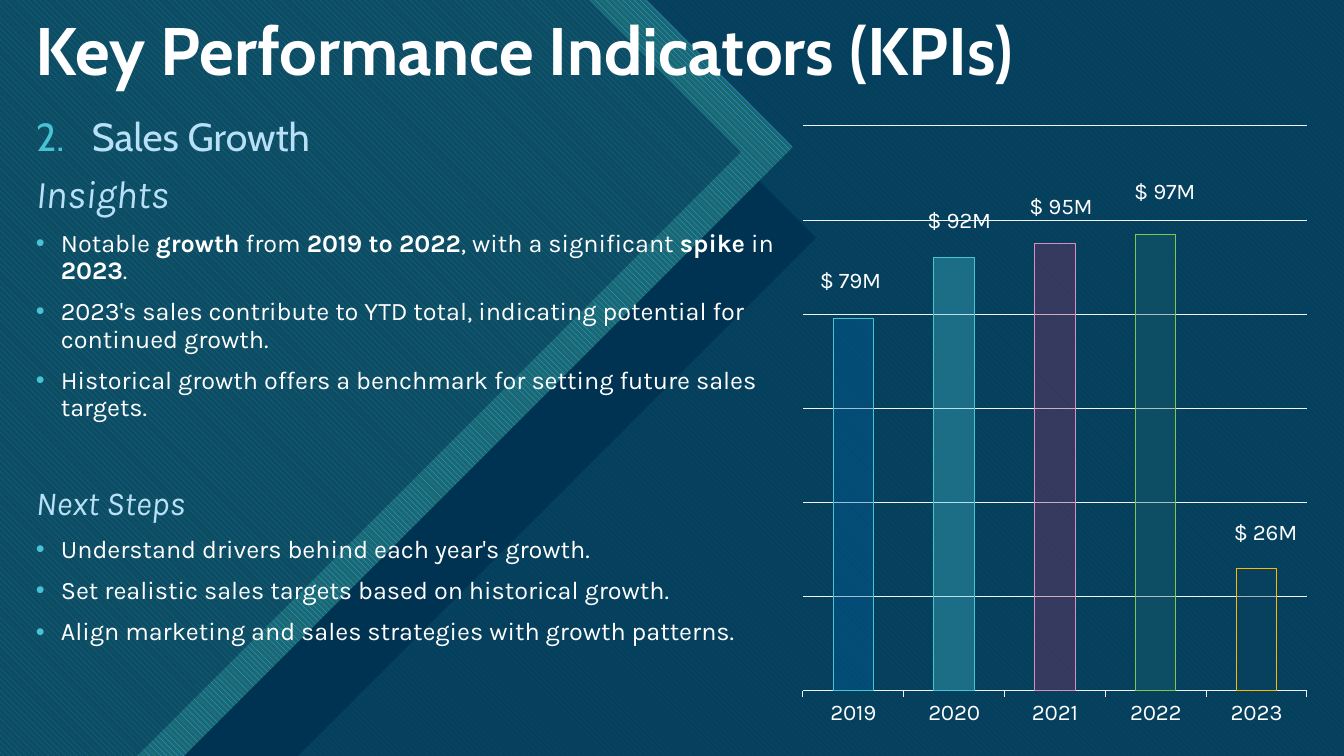
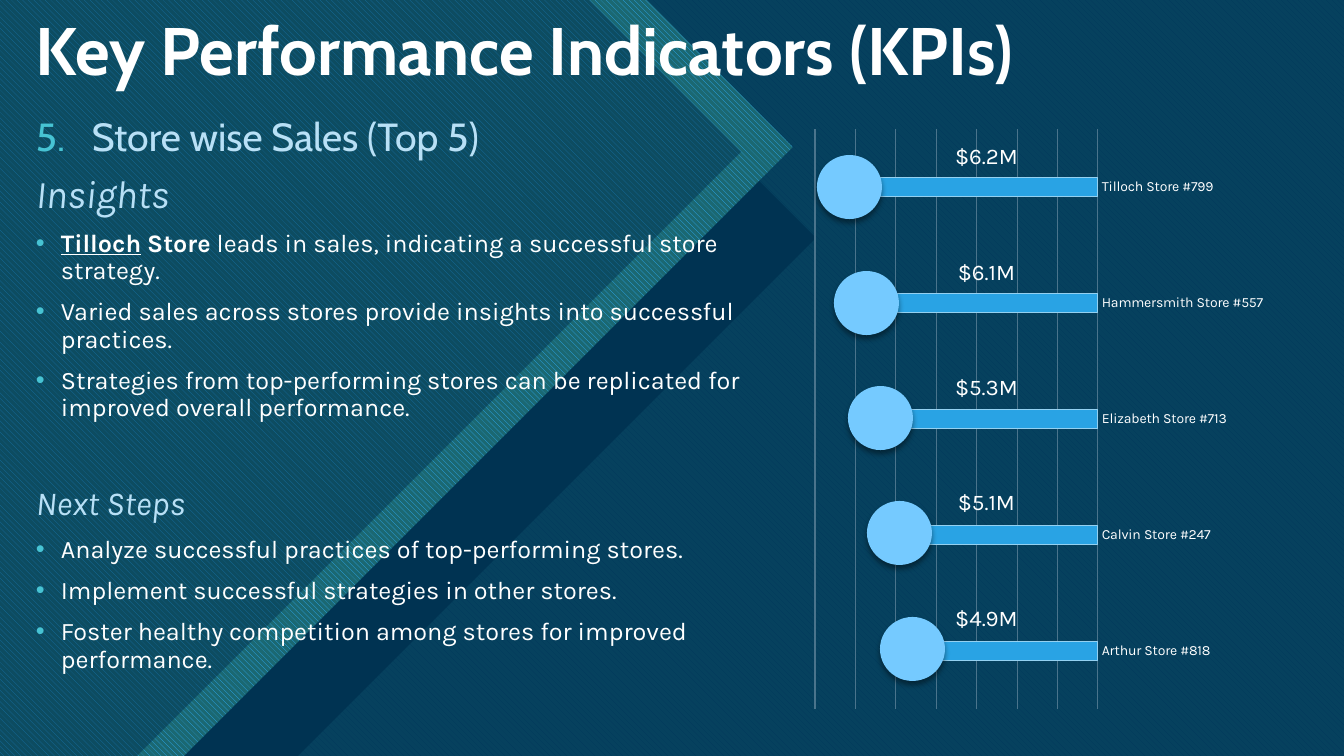
"""Build two KPI slides with insights on the left and a chart on the right."""
import math

import lxml.etree
import pptx
import pptx.chart.data
import pptx.dml.color
import pptx.enum.chart
import pptx.enum.dml
import pptx.enum.shapes
import pptx.enum.text
import pptx.oxml
import pptx.oxml.ns
import pptx.util

RGBColor = pptx.dml.color.RGBColor
qn = pptx.oxml.ns.qn

WHITE = RGBColor(0xFF, 0xFF, 0xFF)
OFF_WHITE = RGBColor(0xF2, 0xF2, 0xF2)
PALE_BLUE = RGBColor(0xB8, 0xE0, 0xF6)
AQUA = RGBColor(0x47, 0xC3, 0xD3)
TEAL = RGBColor(0x1B, 0x68, 0x72)
BLUE = RGBColor(0x00, 0x65, 0xA4)
BRIGHT_BLUE = RGBColor(0x2F, 0xAF, 0xFF)
NAVY = RGBColor(0x00, 0x33, 0x52)
INK = RGBColor(0x0C, 0x43, 0x60)
PLUM = RGBColor(0x8F, 0x2D, 0x63)
PINK = RGBColor(0xD9, 0x8F, 0xC0)
GREEN = RGBColor(0x7F, 0xC8, 0x4E)
AMBER = RGBColor(0xFF, 0xB9, 0x00)
BAR_BLUE = RGBColor(0x29, 0xA3, 0xE4)
BAR_EDGE = RGBColor(0x94, 0xD1, 0xF1)
CIRCLE_BLUE = RGBColor(0x75, 0xCA, 0xFF)
GRID_GREY = RGBColor(0x4A, 0x74, 0x8C)

HEADING_FONT = "Cabin"
BODY_FONT = "Karla"
WIDTH, HEIGHT = 1344, 756
PIXELS_PER_INCH = 100.8

TITLE = "Key Performance Indicators (KPIs)"
TITLE_BOX = (26, 17, 1286, 74)
MONEY_FORMAT = '\\$\\ #,##0,,"M"'

SALES_TEXT = dict(
    number=2, heading="Sales Growth",
    insights=[
        "Notable *growth* from *2019 to 2022*, with a significant *spike* in *2023*.",
        "2023's sales contribute to YTD total, indicating potential for continued growth.",
        "Historical growth offers a benchmark for setting future sales targets.",
    ],
    steps=[
        "Understand drivers behind each year's growth.",
        "Set realistic sales targets based on historical growth.",
        "Align marketing and sales strategies with growth patterns.",
    ])
STORE_TEXT = dict(
    number=5, heading="Store wise Sales (Top 5)",
    insights=[
        "*_Tilloch* *Store* leads in sales, indicating a successful store strategy.",
        "Varied sales across stores provide insights into successful practices.",
        "Strategies from top-performing stores can be replicated for improved overall performance.",
    ],
    steps=[
        "Analyze successful practices of top-performing stores.",
        "Implement successful strategies in other stores.",
        "Foster healthy competition among stores for improved performance.",
    ])

YEARS = [
    ("2019", 79, BLUE, AQUA, (-3, -38)),
    ("2020", 92, AQUA, AQUA, (5, -37)),
    ("2021", 95, PLUM, PINK, (6, -37)),
    ("2022", 97, TEAL, GREEN, (9, -42)),
    ("2023", 26, INK, AMBER, (9, -35)),
]
STORES = [
    ("Tilloch Store #799", 100, "$6.2M", 25),
    ("Hammersmith Store #557", 99, "$6.1M", 42),
    ("Elizabeth Store #713", 86, "$5.3M", 56),
    ("Calvin Store #247", 82, "$5.1M", 75),
    ("Arthur Store #818", 78, "$4.9M", 88),
]


def px(*lengths):
    """Turn pixel lengths into a list of EMU lengths."""
    return [round(length * 914400 / PIXELS_PER_INCH) for length in lengths]


def add_xml(parent, tag, **attributes):
    """Append a child element and return it."""
    return lxml.etree.SubElement(
        parent, qn(tag), {name: str(value) for name, value in attributes.items()})


def set_opacity(element, percent):
    """Make the first solid colour in the element translucent."""
    colour = next(element.iter(qn("a:srgbClr")))
    add_xml(colour, "a:alpha", val=percent * 1000)


def rotate(point, degrees):
    """Turn a point clockwise about the origin."""
    cosine, sine = math.cos(math.radians(degrees)), math.sin(math.radians(degrees))
    x, y = point
    return x * cosine - y * sine, x * sine + y * cosine


def add_panel(slide, points, colour, back=None, opacity=100, rotation=0):
    """Draw a polygon whose fill is turned by the given rotation."""
    turned = [rotate(px(*point), -rotation) for point in points]
    builder = slide.shapes.build_freeform(*map(round, turned[0]))
    builder.add_line_segments([tuple(map(round, point)) for point in turned[1:]])
    shape = builder.convert_to_shape()
    centre = rotate((shape.left + shape.width / 2, shape.top + shape.height / 2), rotation)
    shape.left = round(centre[0] - shape.width / 2)
    shape.top = round(centre[1] - shape.height / 2)
    shape.rotation = rotation
    shape.shadow.inherit = False
    shape.line.fill.background()
    if back is None:
        shape.fill.solid()
    else:
        shape.fill.patterned()
        shape.fill.pattern = pptx.enum.dml.MSO_PATTERN.WIDE_DOWNWARD_DIAGONAL
        shape.fill.back_color.rgb = back
    shape.fill.fore_color.rgb = colour
    if opacity < 100:
        set_opacity(shape._element.spPr, opacity)


def add_backdrop(slide):
    """Draw the layered background with its chevron."""
    field = [(426, 0), (WIDTH, 0), (WIDTH, HEIGHT), (0, HEIGHT),
             (0, 366), (224, 142), (284, 142)]
    add_panel(slide, [(0, 0), (WIDTH, 0), (WIDTH, HEIGHT), (0, HEIGHT)], BLUE)
    add_panel(slide, field, AQUA, opacity=74)
    add_panel(slide, field, BLUE, back=AQUA, rotation=90)
    add_panel(slide, field, NAVY, opacity=90, rotation=90)
    add_panel(slide, [(21, 91), (669, 91), (816, 238), (298, HEIGHT), (21, HEIGHT)],
              NAVY, rotation=225)
    add_panel(slide, [(-2, 0), (647, 0), (793, 147), (184, HEIGHT), (-2, HEIGHT)],
              BRIGHT_BLUE, back=TEAL, rotation=225)
    add_panel(slide, [(-2, 0), (589, 0), (741, 152), (137, HEIGHT), (-2, HEIGHT)],
              NAVY, opacity=51, rotation=315)


def add_text_frame(slide, box, anchor=pptx.enum.text.MSO_ANCHOR.TOP):
    """Add a wrapping text box and return its frame."""
    frame = slide.shapes.add_textbox(*px(*box)).text_frame
    frame.word_wrap = True
    frame.vertical_anchor = anchor
    return frame


def set_font(font, size, colour, name=BODY_FONT):
    """Set the size, colour and typeface of a font."""
    font.size, font.name = pptx.util.Pt(size), name
    font.color.rgb = colour


def write(paragraph, text, size=18, colour=WHITE, name=BODY_FONT, bold=False,
          italic=False, before=0, spacing=0.9, align=None):
    """Write text, where *stars* mark bold and a leading _ marks underlining."""
    paragraph.line_spacing = spacing
    paragraph.space_before = pptx.util.Pt(before)
    paragraph.alignment = align
    for index, piece in enumerate(text.split("*")):
        if piece:
            run = paragraph.add_run()
            run.text = piece.lstrip("_")
            set_font(run.font, size, colour, name)
            run.font.bold = bold or index % 2 == 1
            run.font.italic = italic
            run.font.underline = piece.startswith("_")


def set_bullet(paragraph, indent, number=None):
    """Give a paragraph a hanging aqua dot or number."""
    properties = paragraph._p.get_or_add_pPr()
    margin = px(indent)[0]
    properties.set("marL", str(margin))
    properties.set("indent", str(-margin))
    add_xml(add_xml(properties, "a:buClr"), "a:srgbClr", val=AQUA)
    if number is None:
        add_xml(properties, "a:buFont", typeface="Arial")
        add_xml(properties, "a:buChar", char="•")
    else:
        add_xml(properties, "a:buAutoNum", type="arabicPeriod", startAt=number)


def add_commentary(slide, box, number, heading, insights, steps):
    """Write the numbered heading, the insights and the next steps."""
    frame = add_text_frame(slide, box)
    paragraph = frame.paragraphs[0]
    write(paragraph, heading, size=28, colour=PALE_BLUE, name=HEADING_FONT, before=10)
    set_bullet(paragraph, 56, number)
    for label, size, before, items in (("Insights", 28, 10, insights),
                                       ("Next Steps", 24, 46, steps)):
        write(frame.add_paragraph(), label, size=size, colour=PALE_BLUE,
              italic=True, before=before)
        for item in items:
            paragraph = frame.add_paragraph()
            write(paragraph, item, before=10)
            set_bullet(paragraph, 25)


def add_layout(parent, index, **values):
    """Insert a manual chart layout at the given child index."""
    layout = parent.makeelement(qn("c:layout"))
    manual = add_xml(layout, "c:manualLayout")
    for name, value in values.items():
        add_xml(manual, "c:" + name, val=value)
    parent.insert(index, layout)


def hide_leader_lines(series):
    """Switch off the lines that join moved labels to their bars."""
    labels = next(series._element.iter(qn("c:dLbls")))
    for leader in labels.findall(qn("c:showLeaderLines")):
        labels.remove(leader)
    add_xml(labels, "c:showLeaderLines", val=0)
    extension = add_xml(add_xml(labels, "c:extLst"), "c:ext",
                        uri="{CE6537A1-D6FC-4f65-9D91-7224C49458BB}")
    namespace = "http://schemas.microsoft.com/office/drawing/2012/chart"
    lxml.etree.SubElement(extension, "{%s}showLeaderLines" % namespace,
                          {"val": "0"}, nsmap={"c15": namespace})


def add_bar_chart(slide, box, kind, rows, plot_box, maximum, unit, gap, overlap,
                  grid_colour, label_size):
    """Add a one-series bar chart with gridlines and no value axis."""
    data = pptx.chart.data.CategoryChartData()
    data.categories = [row[0] for row in rows]
    data.add_series("Series 1", [row[1] for row in rows])
    chart = slide.shapes.add_chart(kind, *px(*box), data).chart
    chart.has_legend = chart.has_title = False
    set_font(chart.font, label_size, WHITE)
    plot = chart.plots[0]
    plot.gap_width, plot.overlap, plot.vary_by_categories = gap, overlap, False
    axis = chart.value_axis
    axis.minimum_scale, axis.maximum_scale, axis.major_unit = 0, maximum, unit
    axis.visible = False
    axis.major_gridlines.format.line.color.rgb = grid_colour
    axis.major_gridlines.format.line.width = pptx.util.Pt(0.75)
    set_font(chart.category_axis.tick_labels.font, label_size, WHITE)
    area = next(chart._chartSpace.iter(qn("c:plotArea")))
    for layout in area.findall(qn("c:layout")):
        area.remove(layout)
    left, top, width, height = box
    add_layout(area, 0, layoutTarget="inner", xMode="edge", yMode="edge",
               x=(plot_box[0] - left) / width, y=(plot_box[1] - top) / height,
               w=plot_box[2] / width, h=plot_box[3] / height)
    return chart


def add_sales_chart(slide, box):
    """Add the yearly sales columns with their raised labels."""
    left, top, width, height = box
    plot_height, maximum = 565, 120
    rows = [(year, millions * 1000000) for year, millions, *_ in YEARS]
    chart = add_bar_chart(
        slide, box, pptx.enum.chart.XL_CHART_TYPE.COLUMN_STACKED, rows,
        (left + 11, top + 13, 504, plot_height), maximum * 1000000, 20000000,
        150, 100, OFF_WHITE, 16)
    axis = chart.category_axis
    axis.major_tick_mark = pptx.enum.chart.XL_TICK_MARK.OUTSIDE
    axis.format.line.color.rgb = OFF_WHITE
    axis.format.line.width = pptx.util.Pt(0.75)
    series = chart.plots[0].series[0]
    for index, (_, millions, colour, edge, (shift, rise)) in enumerate(YEARS):
        point = series.points[index]
        point.format.fill.solid()
        point.format.fill.fore_color.rgb = colour
        point.format.line.color.rgb = edge
        point.format.line.width = pptx.util.Pt(0.75)
        set_opacity(series._element.findall(qn("c:dPt"))[index], 35)
        set_font(point.data_label.font, 16, WHITE)
        point.data_label.position = pptx.enum.chart.XL_LABEL_POSITION.CENTER
        label = list(series._element.iter(qn("c:dLbl")))[index]
        half_column = millions / maximum * plot_height / 2
        add_layout(label, 1, x=shift / width, y=(rise - half_column) / height)
        number_format = label.makeelement(
            qn("c:numFmt"), {"formatCode": MONEY_FORMAT, "sourceLinked": "0"})
        label.insert(2, number_format)
    hide_leader_lines(series)


def add_store_chart(slide, box):
    """Add the store bars, each with a circle and its sales."""
    left, top, width, height = box
    chart = add_bar_chart(
        slide, box, pptx.enum.chart.XL_CHART_TYPE.BAR_CLUSTERED, STORES,
        (left + 59, top + 16, 283, 580), 112, 16, 500, 66, GRID_GREY, 10)
    chart.value_axis.reverse_order = chart.category_axis.reverse_order = True
    chart.category_axis.major_tick_mark = pptx.enum.chart.XL_TICK_MARK.NONE
    chart.category_axis.format.line.fill.background()
    bars = chart.plots[0].series[0].format
    bars.fill.solid()
    bars.fill.fore_color.rgb = BAR_BLUE
    bars.line.color.rgb = BAR_EDGE
    bars.line.width = pptx.util.Pt(0.75)
    for index, (_, _, sales, indent) in enumerate(STORES):
        circle_top = top + 42 + round(index * 115.5)
        add_circle(slide, (left + 36 + indent, circle_top, 65, 64))
        frame = add_text_frame(slide, (left + 187, circle_top - 18, 87, 37))
        write(frame.paragraphs[0], sales, size=16, spacing=1,
              align=pptx.enum.text.PP_ALIGN.CENTER)


def add_circle(slide, box):
    """Add a light blue circle with a soft shadow below."""
    circle = slide.shapes.add_shape(pptx.enum.shapes.MSO_SHAPE.OVAL, *px(*box))
    circle.fill.solid()
    circle.fill.fore_color.rgb = CIRCLE_BLUE
    circle.line.fill.background()
    circle.shadow.inherit = False
    effects = circle._element.spPr.find(qn("a:effectLst"))
    shadow = add_xml(effects, "a:outerShdw", blurRad=pptx.util.Pt(4),
                     dist=pptx.util.Pt(3), dir=5400000, algn="t", rotWithShape=0)
    add_xml(add_xml(shadow, "a:srgbClr", val="000000"), "a:alpha", val=40000)


def add_kpi_slide(presentation, text_box, text, add_chart, chart_box):
    """Add one slide with its title, commentary and chart."""
    slide = presentation.slides.add_slide(presentation.slide_layouts[6])
    add_backdrop(slide)
    frame = add_text_frame(slide, TITLE_BOX, pptx.enum.text.MSO_ANCHOR.MIDDLE)
    write(frame.paragraphs[0], TITLE, size=48, name=HEADING_FONT, bold=True)
    add_commentary(slide, text_box, **text)
    add_chart(slide, chart_box)


def main():
    """Build and save the presentation."""
    presentation = pptx.Presentation()
    presentation.slide_width, presentation.slide_height = px(WIDTH, HEIGHT)
    add_kpi_slide(presentation, (26, 113, 766, 625), SALES_TEXT,
                  add_sales_chart, (792, 113, 525, 625))
    add_kpi_slide(presentation, (26, 113, 730, 611), STORE_TEXT,
                  add_store_chart, (756, 113, 556, 611))
    presentation.save("out.pptx")


if __name__ == "__main__":
    main()
